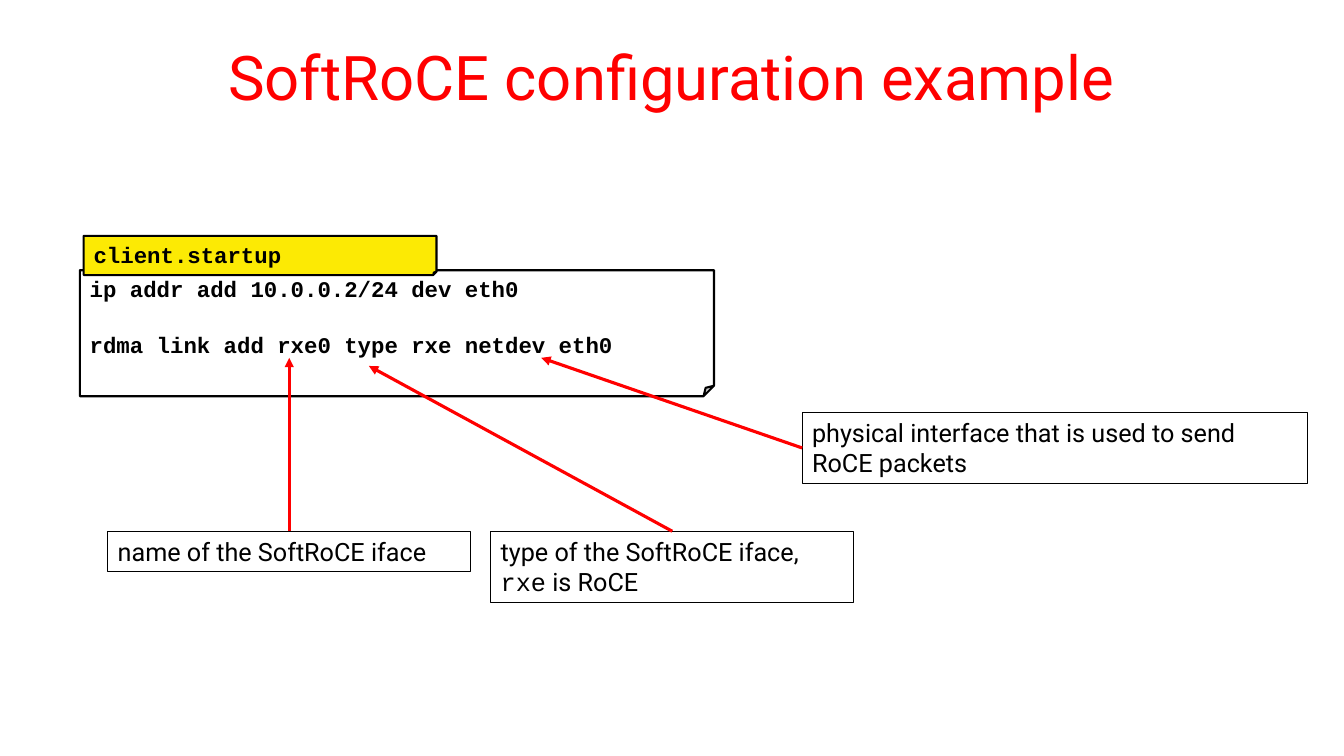
from pptx import Presentation
from pptx.dml.color import RGBColor
from pptx.enum.shapes import MSO_CONNECTOR, MSO_SHAPE
from pptx.enum.text import MSO_ANCHOR, PP_ALIGN
from pptx.oxml.ns import qn
from pptx.util import Pt
from lxml import etree

RECT, FOLDED = MSO_SHAPE.RECTANGLE, MSO_SHAPE.FOLDED_CORNER
STRAIGHT = MSO_CONNECTOR.STRAIGHT
TOP, MIDDLE = MSO_ANCHOR.TOP, MSO_ANCHOR.MIDDLE
LEFT, CENTER = PP_ALIGN.LEFT, PP_ALIGN.CENTER
SIDE_TOP, SIDE_LEFT = 0, 1


def color(hex_string):
    return RGBColor.from_string(hex_string)


class SlideBuilder:
    BODY, CODE = "Roboto", "Courier New"
    BLACK, WHITE, RED, YELLOW = "000000", "FFFFFF", "FF0000", "FCEA04"

    def __init__(self, prs):
        self.s = prs.slides.add_slide(prs.slide_layouts[6])

    def style(self, r, size, font, hex_string, bold=False):
        r.font.size, r.font.name, r.font.bold = Pt(size), font, bold
        r.font.color.rgb = color(hex_string)

    def title(self, text, x, y, w, h):
        tf = self.s.shapes.add_textbox(Pt(x), Pt(y), Pt(w), Pt(h)).text_frame
        tf.word_wrap, tf.vertical_anchor = True, MIDDLE
        tf.text = text
        p = tf.paragraphs[0]
        p.alignment = CENTER
        self.style(p.runs[0], 44, self.BODY, self.RED)

    def box(self, shapes, kind, x, y, w, h, fill, line_width):
        sp = shapes.add_shape(kind, Pt(x), Pt(y), Pt(w), Pt(h))
        sp.shadow.inherit = False
        sp.fill.solid()
        sp.fill.fore_color.rgb = color(fill)
        sp.line.color.rgb = color(self.BLACK)
        sp.line.width = Pt(line_width)
        sp.text_frame.vertical_anchor = TOP
        return sp

    def code_sheet(self, group, lines, x, y, w, h, fill, gap=0):
        sp = self.box(group.shapes, FOLDED, x, y, w, h, fill, 1.5)
        # python-pptx lists no adjustment for a folded corner
        guides = sp._element.spPr.find(qn("a:prstGeom")).get_or_add_avLst()
        etree.SubElement(guides, qn("a:gd"), name="adj", fmla="val 8300")
        tf = sp.text_frame
        tf.word_wrap = False
        tf.text = "\n".join(lines)
        for i, p in enumerate(tf.paragraphs):
            p.alignment = LEFT
            if i:
                p.space_before = Pt(gap)
            self.style(p.runs[0], 16, self.CODE, self.BLACK, bold=True)

    def note(self, parts, x, y, w, h):
        sp = self.box(self.s.shapes, RECT, x, y, w, h, self.WHITE, 0.75)
        tf = sp.text_frame
        tf.word_wrap = True
        p = tf.paragraphs[0]
        p.alignment = LEFT
        for text, font in parts:
            r = p.add_run()
            r.text = text
            self.style(r, 18, font, self.BLACK)
        return sp

    def arrow(self, note, side, x, y):
        c = self.s.shapes.add_connector(STRAIGHT, 0, 0, Pt(x), Pt(y))
        c.begin_connect(note, side)
        c.line.color.rgb = color(self.RED)
        c.line.width = Pt(2.25)
        ln = c._element.spPr.find(qn("a:ln"))
        etree.SubElement(ln, qn("a:tailEnd"), type="triangle")
        etree.SubElement(c._element.spPr, qn("a:effectLst"))


def main():
    prs = Presentation()
    prs.slide_width, prs.slide_height = Pt(960), Pt(540)
    b = SlideBuilder(prs)

    b.title("SoftRoCE configuration example", 48, 9.5, 864, 90)

    # Startup file with its name tab
    group = b.s.shapes.add_group_shape()
    commands = ["ip addr add 10.0.0.2/24 dev eth0",
                "rdma link add rxe0 type rxe netdev eth0"]
    b.code_sheet(group, commands, 57, 193, 453, 90, b.WHITE, gap=20.5)
    b.code_sheet(group, ["client.startup"], 59.8, 168.5, 252, 28, b.YELLOW)

    # Notes, each with an arrow to the word it explains
    notes = [
        ([("name of the SoftRoCE iface", b.BODY)],
         (77, 379.5, 259.2, 29), SIDE_TOP, (206.6, 255.6)),
        ([("physical interface that is used to send RoCE packets", b.BODY)],
         (573, 294.5, 360.7, 51), SIDE_LEFT, (386.6, 255.6)),
        ([("type of the SoftRoCE iface, ", b.BODY), ("rxe", b.CODE),
          (" is RoCE", b.BODY)],
         (350.6, 379.5, 259.2, 51), SIDE_TOP, (263.5, 261.4)),
    ]
    for parts, place, side, target in notes:
        b.arrow(b.note(parts, *place), side, *target)

    prs.save("out.pptx")


if __name__ == "__main__":
    main()
